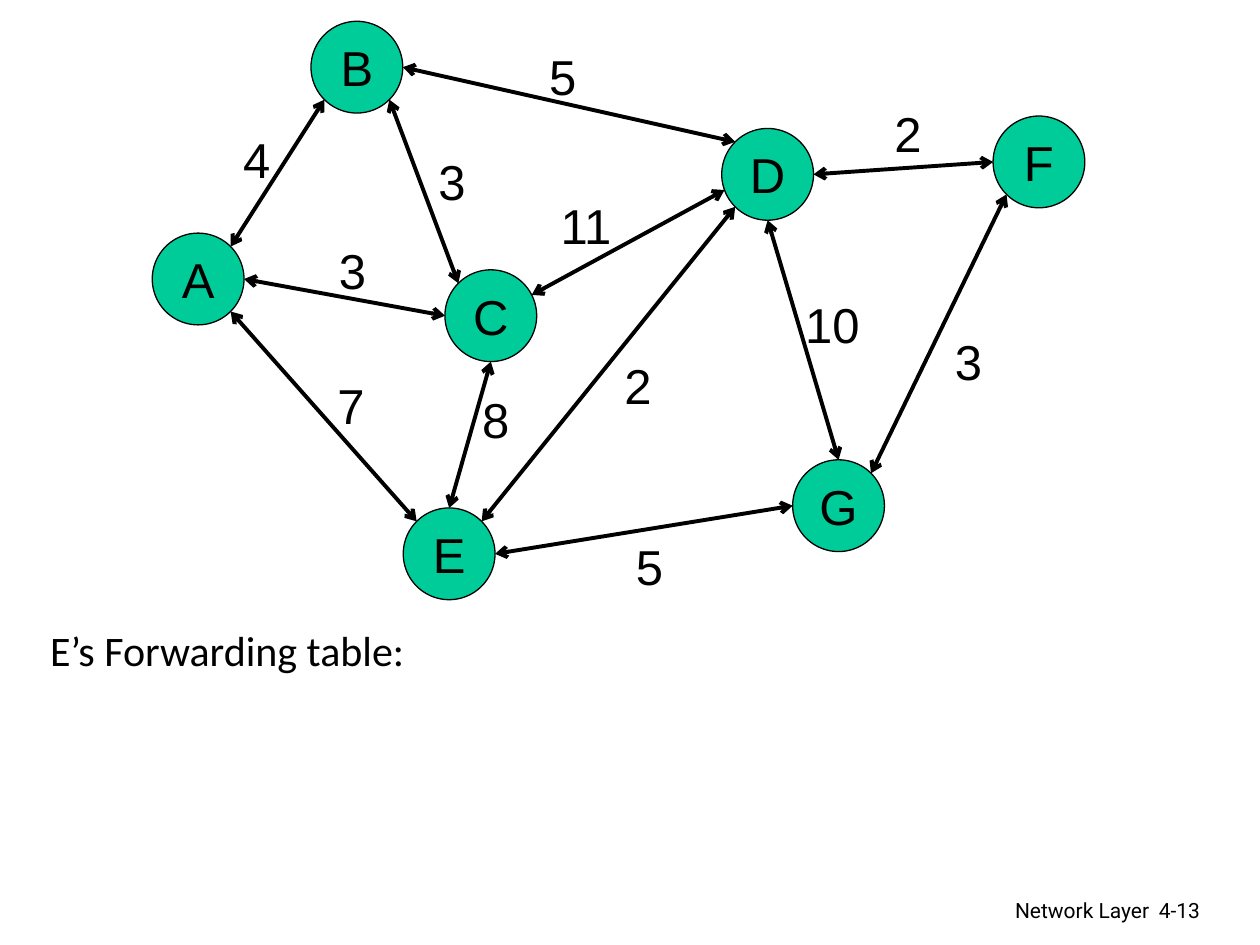
import math

import lxml.etree
import pptx
import pptx.dml.color
import pptx.enum.shapes
import pptx.enum.text
import pptx.oxml.ns
import pptx.util

Cm = pptx.util.Cm
Align = pptx.enum.text.PP_ALIGN
Anchor = pptx.enum.text.MSO_ANCHOR

THEME = {
    "ink": pptx.dml.color.RGBColor.from_string("000000"),
    "node": pptx.dml.color.RGBColor.from_string("00CC99"),
    "link_width": pptx.util.Pt(2.25),
    "node_line": pptx.util.Pt(0.75),
    "graph": {"name": "Arial", "size": pptx.util.Pt(28)},
    "caption": {"name": "Calibri", "size": pptx.util.Pt(24)},
    "footer": {"name": "Roboto", "size": pptx.util.Pt(12)},
}

NODE_SIZE = 1.85
LABEL_HEIGHT = 1.45
LABEL_WIDTHS = {1: 1.07, 2: 1.6}

ROUTERS = {
    "A": (3.07, 4.7),
    "B": (6.27, 0.43),
    "C": (8.97, 5.44),
    "E": (8.13, 10.24),
    "D": (14.55, 2.59),
    "G": (15.98, 9.27),
    "F": (20.02, 2.34),
}

# Each link: router and clockwise angle at both ends, cost, label left and top.
LINKS = [
    ("D", 0, "F", 180, "2", 17.78, 1.96),
    ("G", 315, "F", 135, "3", 19.0, 6.55),
    ("D", 225, "B", 0, "5", 10.82, 0.81),
    ("C", 225, "B", 45, "3", 8.59, 2.92),
    ("D", 160, "C", 333, "11", 11.05, 3.81),
    ("D", 90, "G", 270, "10", 15.98, 5.82),
    ("D", 135, "E", 315, "2", 12.34, 7.04),
    ("C", 90, "E", 270, "8", 9.47, 7.72),
    ("G", 180, "E", 0, "5", 12.57, 10.69),
    ("A", 45, "E", 225, "7", 6.55, 7.44),
    ("A", 0, "C", 180, "3", 6.58, 4.72),
    ("A", 315, "B", 135, "4", 4.65, 2.49),
]

TEXTS = [
    ("Network Layer", (15.37, 17.96, 8.05, 0.79), "footer", Align.RIGHT, True),
    ("4-13", (23.11, 17.96, 1.88, 0.76), "footer", Align.LEFT, True),
    ("E’s Forwarding table:", (0.76, 12.47, 7.8, 1.27), "caption", Align.LEFT, False),
]


def apply(target, values):
    for name, value in values.items():
        setattr(target, name, value)


def write(box, text, style, align, wrap=False, anchor=Anchor.TOP):
    apply(box.text_frame, {"word_wrap": wrap, "vertical_anchor": anchor})
    para = box.text_frame.paragraphs[0]
    para.alignment = align
    span = para.add_run()
    span.text = text
    apply(span.font, THEME[style])
    span.font.color.rgb = THEME["ink"]


def add_text(page, text, area, style, align, wrap):
    box = page.shapes.add_textbox(*map(Cm, area))
    write(box, text, style, align, wrap)


def rim_point(router, angle):
    radius = NODE_SIZE / 2
    left, top = ROUTERS[router]
    turn = math.radians(angle)
    return (Cm(left + radius + radius * math.cos(turn)),
            Cm(top + radius + radius * math.sin(turn)))


def add_link(page, start, end):
    link = page.shapes.add_connector(
        pptx.enum.shapes.MSO_CONNECTOR.STRAIGHT, *start, *end)
    link.line.color.rgb = THEME["ink"]
    link.line.width = THEME["link_width"]
    qn = pptx.oxml.ns.qn
    outline = link.line._get_or_add_ln()
    for tag in ("a:headEnd", "a:tailEnd"):
        lxml.etree.SubElement(outline, qn(tag), type="arrow")
    lxml.etree.SubElement(link._element.spPr, qn("a:effectLst"))


def add_router(page, name, left, top):
    node = page.shapes.add_shape(
        pptx.enum.shapes.MSO_SHAPE.OVAL,
        *map(Cm, (left, top, NODE_SIZE, NODE_SIZE)))
    node.shadow.inherit = False
    node.fill.solid()
    node.fill.fore_color.rgb = THEME["node"]
    node.line.color.rgb = THEME["ink"]
    node.line.width = THEME["node_line"]
    write(node, name, "graph", Align.CENTER, anchor=Anchor.MIDDLE)


def main():
    deck = pptx.Presentation()
    apply(deck, {"slide_width": Cm(25.4), "slide_height": Cm(19.05)})
    page = deck.slides.add_slide(deck.slide_layouts[6])
    for entry in TEXTS:
        add_text(page, *entry)
    for first, first_angle, second, second_angle, *_ in LINKS:
        add_link(page, rim_point(first, first_angle), rim_point(second, second_angle))
    for name, (left, top) in ROUTERS.items():
        add_router(page, name, left, top)
    for *_, cost, left, top in LINKS:
        area = (left, top, LABEL_WIDTHS[len(cost)], LABEL_HEIGHT)
        add_text(page, cost, area, "graph", Align.LEFT, False)
    deck.save("out.pptx")


if __name__ == "__main__":
    main()
